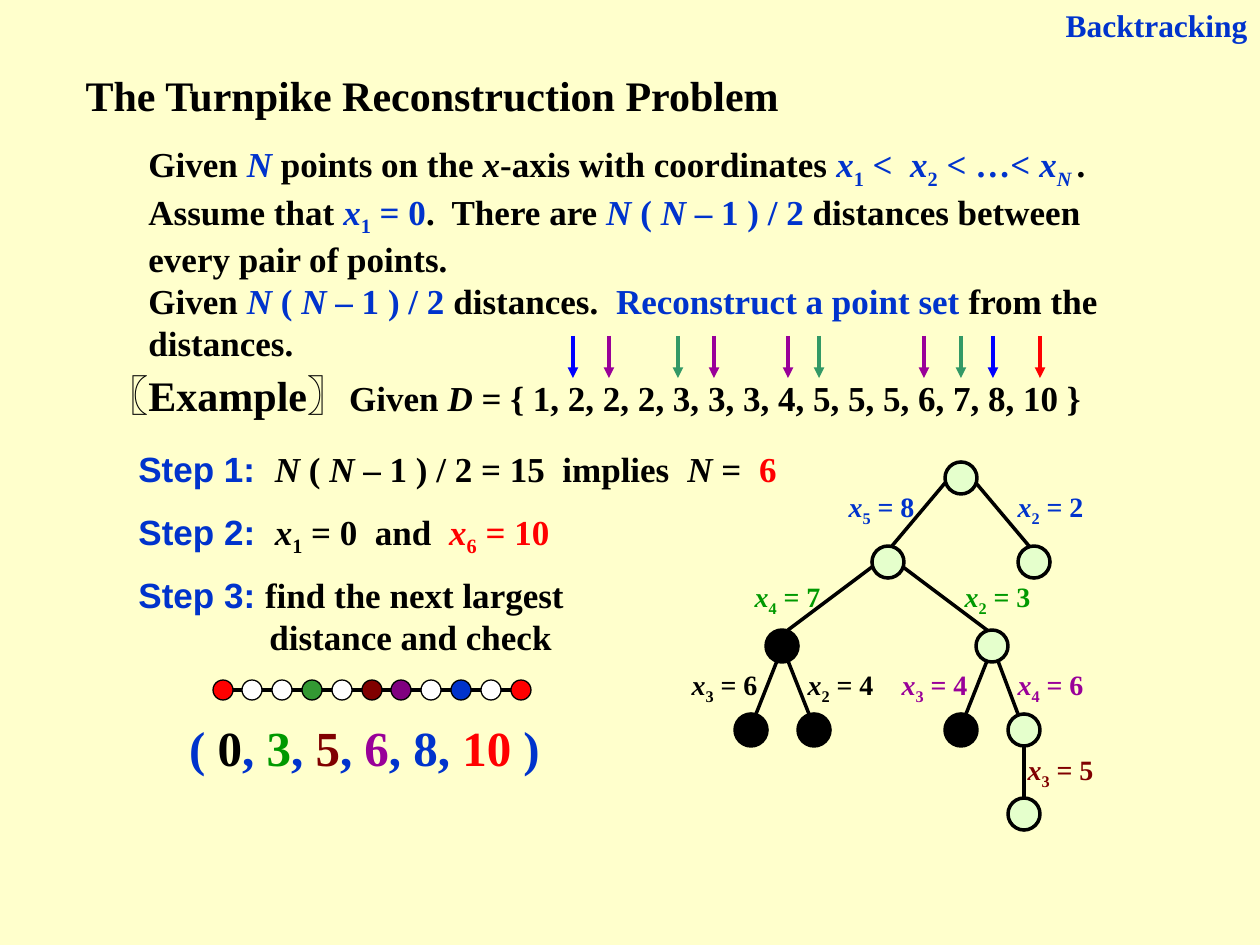
"""Build a slide on the turnpike reconstruction problem."""
from lxml import etree
from pptx import Presentation
from pptx.dml.color import RGBColor
from pptx.enum.shapes import MSO_CONNECTOR, MSO_SHAPE
from pptx.enum.text import MSO_ANCHOR, MSO_AUTO_SIZE, PP_ALIGN
from pptx.oxml.ns import qn
from pptx.util import Emu, Pt

STRAIGHT = MSO_CONNECTOR.STRAIGHT
OVAL = MSO_SHAPE.OVAL
TOP = MSO_ANCHOR.TOP
GROW = MSO_AUTO_SIZE.SHAPE_TO_FIT_TEXT
LEFT, CENTER, RIGHT = PP_ALIGN.LEFT, PP_ALIGN.CENTER, PP_ALIGN.RIGHT

CREAM = RGBColor(0xFF, 0xFF, 0xCC)
BLACK = RGBColor(0x00, 0x00, 0x00)
WHITE = RGBColor(0xFF, 0xFF, 0xFF)
RED = RGBColor(0xFF, 0x00, 0x00)
BLUE = RGBColor(0x00, 0x33, 0xCC)
BRIGHT_BLUE = RGBColor(0x00, 0x00, 0xFF)
GREEN = RGBColor(0x00, 0x99, 0x00)
SEA_GREEN = RGBColor(0x33, 0x99, 0x66)
DOT_GREEN = RGBColor(0x33, 0x99, 0x33)
MINT = RGBColor(0xCC, 0xFF, 0xCC)
PURPLE = RGBColor(0x99, 0x00, 0x99)
DOT_PURPLE = RGBColor(0x80, 0x00, 0x80)
MAROON = RGBColor(0x80, 0x00, 0x00)

SERIF, SANS = "Times New Roman", "Arial"
PX_PER_INCH = 126
PAIR_COUNT = "*N* ( *N* – 1 ) / 2"


def px(length):
    """Turn a length in px into EMU."""
    return Emu(round(length * 914400 / PX_PER_INCH))


class SlideBuilder:
    """Hold the slide and its style; *...* marks italics and ~...~ subscripts."""

    def __init__(self, slide):
        self.slide = slide
        fill = slide.background.fill
        fill.solid()
        fill.fore_color.rgb = CREAM

    def fill_text(self, shape, spans, size, align=LEFT, hanging=0):
        """Fill a shape with spans of (markup, colour, optional size, optional font)."""
        frame = shape.text_frame
        frame.word_wrap = True
        frame.auto_size = GROW
        frame.vertical_anchor = TOP
        paragraph = frame.paragraphs[0]
        paragraph.alignment = align
        if hanging:
            properties = paragraph._p.get_or_add_pPr()
            properties.set("marL", str(px(hanging)))
            properties.set("indent", str(-px(hanging)))
        font = paragraph.font
        font.name, font.size, font.bold = SERIF, Pt(size), True
        for span in spans:
            self.add_span(paragraph, *span)

    def add_span(self, paragraph, markup, colour, size=None, font_name=None):
        """Add the runs of one marked-up span."""
        for index, part in enumerate(markup.split("*")):
            for position, piece in enumerate(part.split("~")):
                if not piece:
                    continue
                run = paragraph.add_run()
                run.text = piece
                run.font.color.rgb = colour
                if size:
                    run.font.size = Pt(size)
                if font_name:
                    run.font.name = font_name
                if index % 2:
                    run.font.italic = True
                if position % 2:
                    run._r.get_or_add_rPr().set("baseline", "-25000")

    def title(self, left, top, width, height, text, size):
        """Place and format the title placeholder."""
        shape = self.slide.shapes.title
        shape.left, shape.top = px(left), px(top)
        shape.width, shape.height = px(width), px(height)
        self.fill_text(shape, [(text, BLACK)], size)

    def text(self, left, top, width, height, spans, size=20, **layout):
        """Add a text box."""
        box = self.slide.shapes.add_textbox(px(left), px(top), px(width), px(height))
        self.fill_text(box, spans, size, **layout)

    def line(self, start, end, colour=BLACK, arrow=False):
        """Add a straight line or arrow."""
        connector = self.slide.shapes.add_connector(
            STRAIGHT, *(px(value) for value in (*start, *end)))
        connector.line.color.rgb = colour
        connector.line.width = Pt(2)
        properties = connector._element.spPr
        if arrow:
            etree.SubElement(properties.find(qn("a:ln")), qn("a:tailEnd"), type="triangle")
        etree.SubElement(properties, qn("a:effectLst"))

    def circle(self, left, top, diameter, colour, width, alpha=None):
        """Add an outlined circle, see-through where alpha is given."""
        shape = self.slide.shapes.add_shape(
            OVAL, px(left), px(top), px(diameter), px(diameter))
        shape.shadow.inherit = False
        shape.fill.solid()
        shape.fill.fore_color.rgb = colour
        if alpha:
            colour_element = shape._element.spPr.find(f".//{qn('a:srgbClr')}")
            etree.SubElement(colour_element, qn("a:alpha"), val=str(alpha * 1000))
        shape.line.color.rgb = BLACK
        shape.line.width = Pt(width)


def add_problem(builder):
    """Add the headings, the problem and the steps."""
    builder.text(988, 0, 272, 50, [("Backtracking", BLUE)], 18, align=RIGHT)
    builder.title(73, 63, 809, 63, "The Turnpike Reconstruction Problem", 24)
    builder.text(136, 136, 1029, 150, [
        ("Given ", BLACK), ("*N*", BLUE),
        (" points on the *x*-axis with coordinates ", BLACK),
        ("*x*~1~ <  *x*~2~ < …< *x~N ~*", BLUE),
        (".  Assume that ", BLACK), ("*x*~1~ = 0", BLUE),
        (".  There are ", BLACK), (PAIR_COUNT, BLUE),
        (" distances between every pair of points.", BLACK)])
    builder.text(136, 273, 1029, 97, [
        ("Given ", BLACK), (PAIR_COUNT, BLUE), (" distances.  ", BLACK),
        ("Reconstruct a point set", BLUE), (" from the distances.", BLACK)])
    builder.text(94, 363, 1040, 63, [
        ("〖Example〗", BLACK, 24),
        ("Given *D* = { 1, 2, 2, 2, 3, 3, 3, 4, 5, 5, 5, 6, 7, 8, 10 }", BLACK)])
    builder.text(126, 441, 693, 55, [
        ("Step 1:  ", BLUE, 20, SANS),
        (PAIR_COUNT + " = 15  implies  *N* =  ", BLACK), ("6", RED)])
    builder.text(126, 504, 483, 60, [
        ("Step 2:  ", BLUE, 20, SANS),
        ("*x*~1~ = 0  and  ", BLACK), ("*x*~6~ = 10", RED)])
    builder.text(126, 567, 483, 97, [
        ("Step 3: ", BLUE, 20, SANS),
        ("find the next largest distance and check", BLACK)], hanging=131)


def add_used_distances(builder):
    """Mark the used distances with arrows."""
    arrows = {RED: [1040], BRIGHT_BLUE: [573, 993], SEA_GREEN: [678, 819, 961],
              PURPLE: [609, 714, 788, 924]}
    for colour, centers in arrows.items():
        for center in centers:
            builder.line((center, 336), (center, 378), colour, arrow=True)


def add_search_tree(builder):
    """Add the labelled edges and the nodes of the search tree."""
    edges = [
        ((945, 483), (892, 546), (829, 483), "*x*~5~ = 8", BLUE),
        ((976, 483), (1029, 546), (998, 483), "*x*~2~ = 2", BLUE),
        ((872, 567), (788, 630), (735, 573), "*x*~4~ = 7", GREEN),
        ((903, 567), (987, 630), (945, 573), "*x*~2~ = 3", GREEN),
        ((777, 661), (756, 714), (672, 661), "*x*~3~ = 6", BLACK),
        ((788, 661), (809, 714), (788, 661), "*x*~2~ = 4", BLACK),
        ((987, 661), (966, 714), (882, 661), "*x*~3~ = 4", PURPLE),
        ((998, 661), (1018, 714), (998, 661), "*x*~4~ = 6", PURPLE),
        ((1024, 746), (1024, 798), (1008, 746), "*x*~3~ = 5", MAROON),
    ]
    for start, end, corner, label, colour in edges:
        builder.line(start, end)
        builder.text(*corner, 105, 52, [(label, colour)], 16, align=CENTER)
    open_levels = [[945], [872, 1018], [976], [1008], [1008]]
    failed_levels = [[], [], [766], [735, 798, 945], []]
    for level, (open_nodes, failed_nodes) in enumerate(zip(open_levels, failed_levels)):
        top = 462 + 84 * level
        for left in open_nodes:
            builder.circle(left, top, 32, MINT, 2, alpha=50)
        for left in failed_nodes:
            builder.circle(left, top, 32, BLACK, 2)


def add_solution(builder):
    """Add the point axis and the solution."""
    colours = [RED, WHITE, WHITE, DOT_GREEN, WHITE, MAROON, DOT_PURPLE, WHITE, BLUE, WHITE, RED]
    centers = [223 + 298 * index // 10 for index in range(len(colours))]
    for start, end in zip(centers, centers[1:]):
        builder.line((start, 690), (end, 690))
    for center, colour in zip(centers, colours):
        builder.circle(center - 10, 680, 20, colour, 0.75)
    builder.text(144, 711, 441, 72, [
        ("( ", BLUE), ("0", BLACK), (", ", BLUE), ("3", GREEN), (", ", BLUE),
        ("5", MAROON), (", ", BLUE), ("6", PURPLE), (", 8, ", BLUE),
        ("10", RED), (" )", BLUE)], 28, align=CENTER)


def main():
    """Build and save the presentation."""
    presentation = Presentation()
    presentation.slide_width, presentation.slide_height = px(1260), px(945)
    builder = SlideBuilder(presentation.slides.add_slide(presentation.slide_layouts[5]))
    add_problem(builder)
    add_used_distances(builder)
    add_search_tree(builder)
    add_solution(builder)
    presentation.save("out.pptx")


if __name__ == "__main__":
    main()
